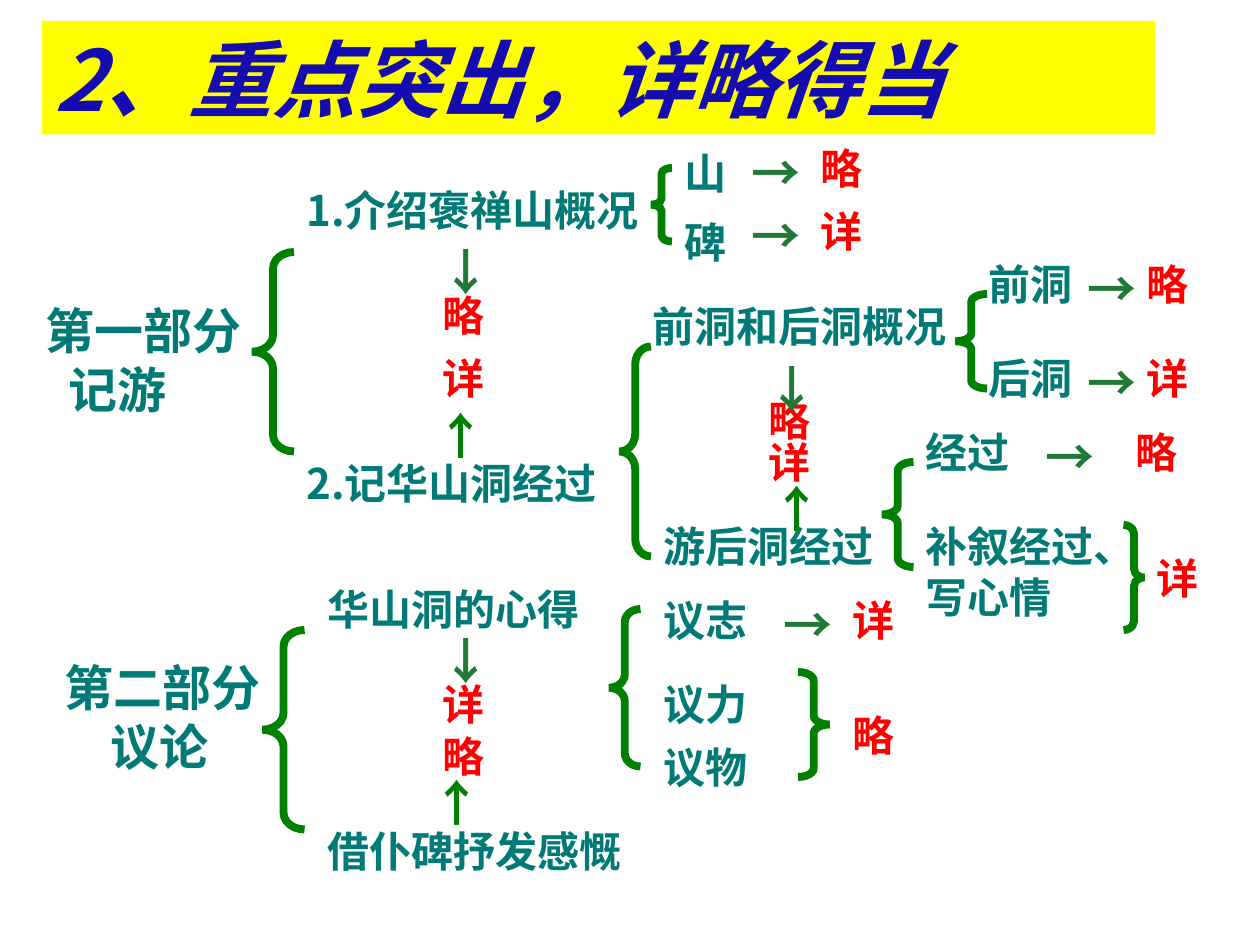
import pptx
import pptx.dml.color
import pptx.enum.shapes
import pptx.enum.text
import pptx.oxml
import pptx.oxml.ns
import pptx.util

COLUMNS, ROWS = 120, 90  # grid of the slide, twelve cells to the inch
CELL = pptx.util.Inches(10) / COLUMNS
TEAL, RED, GREEN, ARROW_GREEN = "007A77", "FF0000", "008000", "217938"
SC, JP, TIMES = "Noto Sans CJK SC", "Noto Sans CJK JP", "Times New Roman"


def color(hex_value):
    return pptx.dml.color.RGBColor.from_string(hex_value)


def cells(*lengths):
    return [pptx.util.Emu(round(length * CELL)) for length in lengths]


def drawing_element(tag, attributes=""):
    return pptx.oxml.parse_xml(f'<a:{tag} {pptx.oxml.ns.nsdecls("a")} {attributes}/>')


def write(frame, text, size, font, hex_value, wrap=True, italic=False, indent=0):
    """Fill a text frame; indent (inches) applies to lines after the first."""
    frame.text = text
    frame.word_wrap = wrap
    frame.auto_size = pptx.enum.text.MSO_AUTO_SIZE.SHAPE_TO_FIT_TEXT
    frame.vertical_anchor = pptx.enum.text.MSO_ANCHOR.TOP
    east_asian_font = SC if font == TIMES else font
    for number, line in enumerate(frame.paragraphs):
        line.alignment = pptx.enum.text.PP_ALIGN.LEFT
        line.line_spacing = 1.0
        if number and indent:
            line._p.get_or_add_pPr().set("marL", str(pptx.util.Inches(indent)))
        for run in line.runs:
            run.font.size = pptx.util.Pt(size)
            run.font.bold = True
            run.font.italic = italic or None
            run.font.name = font
            run.font.color.rgb = color(hex_value)
            latin = run.font._element.find(pptx.oxml.ns.qn("a:latin"))
            latin.addnext(drawing_element("ea", f'typeface="{east_asian_font}"'))


def add_title(slide, text):
    title = slide.shapes.title
    title.left, title.top, title.width, title.height = cells(4, 2, 106, 10.8)
    title.fill.solid()
    title.fill.fore_color.rgb = color("FFFF00")
    write(title.text_frame, text, 48, SC, "140CAE", italic=True)


def add_label(slide, column, row, text, hex_value=TEAL, size=24, font=JP, indent=0):
    lines = text.split("\n")
    width = max(map(len, lines)) * size / 6 + 2.4
    height = len(lines) * size / 5 + 1.2
    # Lines starting with a numeral hold narrow characters, so they wrap off too
    label = slide.shapes.add_textbox(*cells(column, row, width, height))
    write(label.text_frame, text, size, font, hex_value, wrap=len(text) > 2, indent=indent)


def add_arrow(slide, column, row, sign, hex_value=ARROW_GREEN, vertical=False):
    width, height = (7.9, 5.2) if vertical else (6.24, 6.84)
    arrow = slide.shapes.add_textbox(*cells(column, row, width, height))
    frame = arrow.text_frame
    write(frame, sign, 28, JP, hex_value, wrap=False)
    if vertical:
        frame.margin_left = frame.margin_right = pptx.util.Inches(0.05)
        frame.margin_top = frame.margin_bottom = pptx.util.Inches(0.1)
        frame._txBody.bodyPr.set("vert", "eaVert")


def add_brace(slide, column, row, width, height, closing=False):
    kinds = pptx.enum.shapes.MSO_SHAPE
    kind = kinds.RIGHT_BRACE if closing else kinds.LEFT_BRACE
    brace = slide.shapes.add_shape(kind, *cells(column, row, width, height))
    brace.adjustments[0] = height / 12 / width
    brace.shadow.inherit = False
    brace.fill.background()
    brace.line.color.rgb = color(GREEN)
    brace.line.width = pptx.util.Pt(4.5)
    outline = brace._element.spPr.find(pptx.oxml.ns.qn("a:ln"))
    outline.append(drawing_element("miter", 'lim="800000"'))


def main():
    deck = pptx.Presentation()
    deck.slide_width, deck.slide_height = cells(COLUMNS, ROWS)
    slide = deck.slides.add_slide(deck.slide_layouts[5])
    add_title(slide, "2、重点突出，详略得当")

    # The two parts of the essay
    add_label(slide, 3.2, 28, "第一部分\n记游", size=28, font=SC, indent=0.18)
    add_label(slide, 5, 62, "第二部分\n议论", size=28, font=TIMES, indent=0.36)

    # Topics within the parts
    for column, row, topic in [
        (28, 17, "1.介绍褒禅山概况"), (28, 43, "2.记华山洞经过"),
        (61, 28, "前洞和后洞概况"), (62, 49, "游后洞经过"),
        (93, 24, "前洞"), (93, 33, "后洞"),
        (87, 40, "经过"), (87, 49, "补叙经过、\n写心情"),
        (30, 55, "华山洞的心得"), (30, 78, "借仆碑抒发感慨"),
        (62, 56, "议志"), (62, 64, "议力"), (62, 70, "议物"),
    ]:
        add_label(slide, column, row, topic)
    for row, topic in [(13.5, "山"), (20, "碑")]:
        add_label(slide, 64, row, topic, font=SC)

    # Brief or detailed treatment
    treatments = {
        "略": [(41, 27), (77, 13), (108, 24), (107, 40), (80, 67), (41, 69), (72, 37)],
        "详": [(41, 33), (77, 19), (108, 33), (72, 41), (109, 52), (80, 56), (41, 64)],
    }
    for treatment, places in treatments.items():
        for column, row in places:
            add_label(slide, column, row, treatment, RED)

    # Arrows from topics to treatments
    for column, row in [(70.4, 13), (70.4, 19), (102.4, 24), (102.4, 33),
                        (98.4, 40), (73.4, 56)]:
        add_arrow(slide, column, row, "→")
    for column, row in [(40, 22.4), (40, 59.4), (71, 33.5)]:
        add_arrow(slide, column, row, "→", vertical=True)
    for column, row in [(40, 73), (40.4, 38), (72.4, 45)]:
        add_arrow(slide, column, row, "↑", GREEN)

    # Braces
    for place in [(24, 24, 4, 19), (25, 60, 4, 19), (62, 16, 2, 7), (59, 33, 3, 20),
                  (91, 28, 3, 9), (84, 44, 3, 10), (58, 58, 3, 15)]:
        add_brace(slide, *place)
    for place in [(76, 64, 3, 10), (107, 50, 2, 10)]:
        add_brace(slide, *place, closing=True)

    deck.save("out.pptx")


if __name__ == "__main__":
    main()
